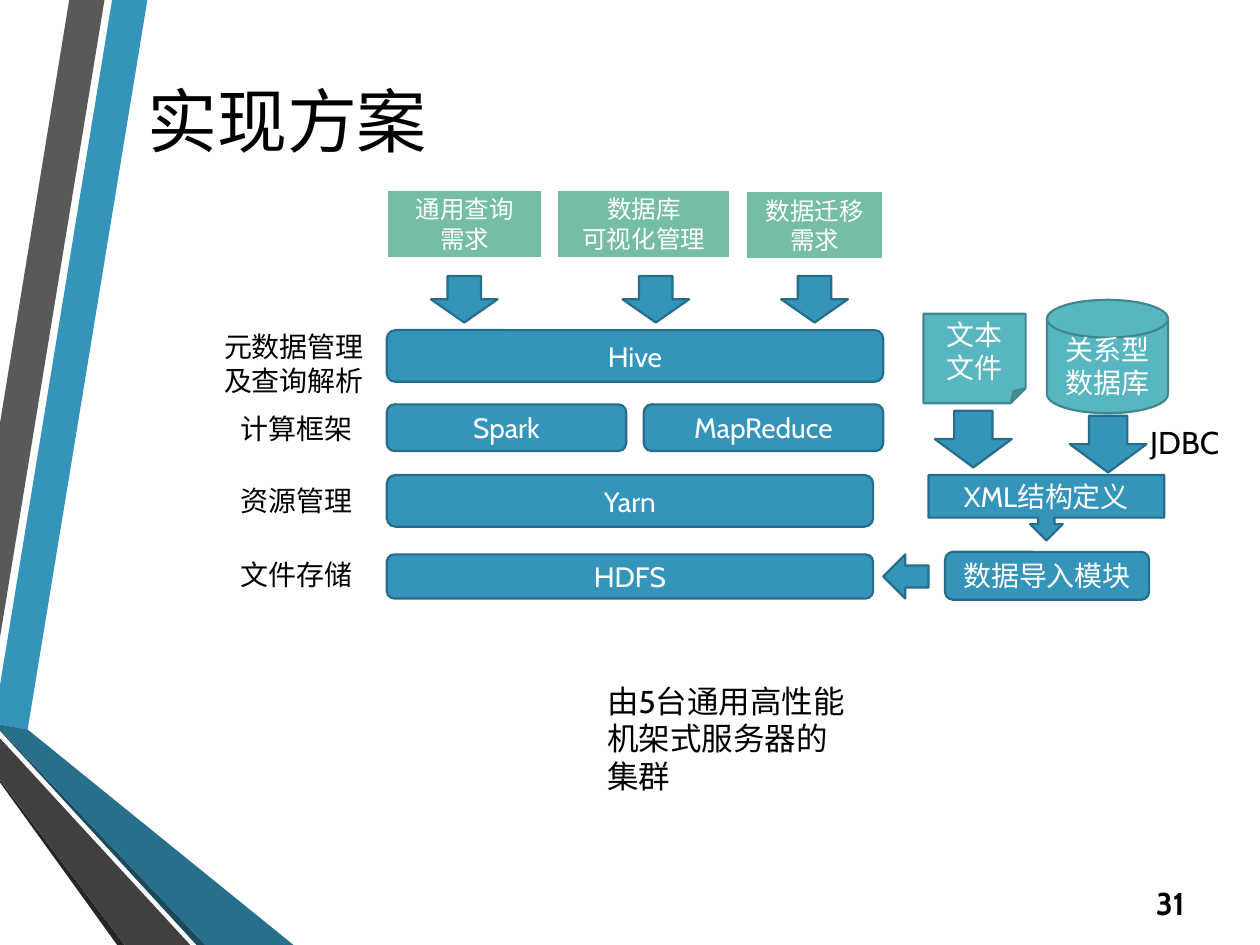
"""Build the slide that shows the data platform's architecture."""
from pptx import Presentation
from pptx.dml.color import RGBColor
from pptx.enum import shapes, text
from pptx.util import Inches, Pt

SHAPE = shapes.MSO_SHAPE
ALIGN = text.PP_ALIGN
ANCHOR = text.MSO_ANCHOR
FONT = "Cabin"
BLACK, WHITE = "000000", "FFFFFF"
BLUE = ("3494BA", "266D8A", 1.25)
TEAL = ("58B6C0", "41878E", 1.25)
GREEN = ("75BDA7", WHITE, 1.75)

RIBBONS = [
    ("3494BA", [(0, 5.44), (0, 5.75), (0.22, 5.79), (1.17, 0), (0.89, 0)]),
    ("595959", [(0.83, 0), (0.55, 0), (0, 3.36), (0, 5.06)]),
    ("262626", [(0, 6.19), (0, 6.21), (0.93, 7.5), (0.99, 7.5)]),
    ("1A4A5D", [(0, 5.79), (0, 5.8), (1.56, 7.5), (1.63, 7.5)]),
    ("276F8B", [(0, 5.79), (1.63, 7.5), (2.33, 7.5), (0.22, 5.79), (0, 5.75)]),
    ("404040", [(0, 6.19), (0.99, 7.5), (1.51, 7.5), (0, 5.86)]),
]

STACK_LEFT = 3.07
LAYERS = [
    (STACK_LEFT, 2.62, 3.94, 0.41, "Hive"),
    (STACK_LEFT, 3.21, 1.9, 0.37, "Spark"),
    (5.11, 3.21, 1.9, 0.37, "MapReduce"),
    (STACK_LEFT, 3.77, 3.86, 0.41, "Yarn"),
    (STACK_LEFT, 4.4, 3.86, 0.35, "HDFS"),
    (7.5, 4.38, 1.62, 0.38, "数据导入模块"),
]
SOURCES = [
    (SHAPE.FLOWCHART_MAGNETIC_DISK, (8.31, 2.38, 0.96, 0.9), TEAL, "关系型数据库"),
    (SHAPE.FOLDED_CORNER, (7.33, 2.49, 0.81, 0.71), TEAL, "文本文件"),
    (SHAPE.DOWN_ARROW_CALLOUT, (7.37, 3.77, 1.87, 0.52), BLUE, "XML结构定义"),
]
REQUESTS = [
    (STACK_LEFT, 1.5, 1.24, ["通用查询", "需求"]),
    (4.42, 1.5, 1.38, ["数据库", "可视化管理"]),
    (5.92, 1.51, 1.09, ["数据迁移", "需求"]),
]
REQUEST_ARROWS = [3.42, 4.94, 6.2]
SOURCE_ARROWS = [(7.42, 3.26), (8.49, 3.3)]
LAYER_LABELS = [
    (1.68, 2.57, 0.64, "元数据管理及查询解析"),
    (1.81, 3.22, 0.37, "计算框架"),
    (1.81, 3.79, 0.37, "资源管理"),
    (1.81, 4.38, 0.37, "文件存储"),
]


def color(value):
    return RGBColor.from_string(value)


def write(shape, lines, size, ink, align=ALIGN.LEFT, anchor=ANCHOR.TOP, wrap=True, bold=False):
    frame = shape.text_frame
    frame.word_wrap = wrap
    frame.vertical_anchor = anchor
    for index, line in enumerate(lines):
        paragraph = frame.add_paragraph() if index else frame.paragraphs[0]
        paragraph.alignment = align
        run = paragraph.add_run()
        run.text = line
        run.font.name = FONT
        run.font.size = Pt(size)
        run.font.bold = bold
        run.font.color.rgb = color(ink)


def add_ribbon(slide, fill, points):
    corners = [(Inches(x), Inches(y)) for x, y in points]
    builder = slide.shapes.build_freeform(*corners[0])
    builder.add_line_segments(corners[1:])
    shape = builder.convert_to_shape()
    shape.shadow.inherit = False
    shape.fill.solid()
    shape.fill.fore_color.rgb = color(fill)
    shape.line.fill.background()


def add_block(slide, kind, box, style, lines=(), size=16):
    fill, outline, width = style
    shape = slide.shapes.add_shape(kind, *map(Inches, box))
    shape.shadow.inherit = False
    shape.fill.solid()
    shape.fill.fore_color.rgb = color(fill)
    shape.line.color.rgb = color(outline)
    shape.line.width = Pt(width)
    write(shape, lines, size, WHITE, ALIGN.CENTER, ANCHOR.MIDDLE)


def add_text(slide, box, line, size, **options):
    write(slide.shapes.add_textbox(*map(Inches, box)), [line], size, BLACK, **options)


def main():
    presentation = Presentation()
    presentation.slide_width, presentation.slide_height = Inches(10), Inches(7.5)
    slide = presentation.slides.add_slide(presentation.slide_layouts[6])

    for fill, points in RIBBONS:
        add_ribbon(slide, fill, points)
    add_text(slide, (1.07, 0.5, 8.43, 0.9), "实现方案", 40, anchor=ANCHOR.MIDDLE)
    add_text(slide, (8.93, 6.97, 0.57, 0.4), "31", 18,
             align=ALIGN.RIGHT, anchor=ANCHOR.MIDDLE, bold=True)

    for kind, box, style, label in SOURCES:
        add_block(slide, kind, box, style, [label])
    for *box, label in LAYERS:
        add_block(slide, SHAPE.ROUNDED_RECTANGLE, box, BLUE, [label])
    for left, top, width, lines in REQUESTS:
        add_block(slide, SHAPE.RECTANGLE, (left, top, width, 0.55), GREEN, lines, 14)
    for left in REQUEST_ARROWS:
        add_block(slide, SHAPE.DOWN_ARROW, (left, 2.19, 0.53, 0.37), BLUE)
    for left, top in SOURCE_ARROWS:
        add_block(slide, SHAPE.DOWN_ARROW, (left, top, 0.61, 0.45), BLUE)
    add_block(slide, SHAPE.LEFT_ARROW, (7.01, 4.4, 0.36, 0.35), BLUE)

    for left, top, height, label in LAYER_LABELS:
        add_text(slide, (left, top, 1.38, height), label, 16)
    add_text(slide, (4.72, 5.36, 2.16, 0.71), "由5台通用高性能机架式服务器的集群", 18)
    add_text(slide, (9.03, 3.31, 0.76, 0.4), "JDBC", 18, wrap=False)
    presentation.save("out.pptx")


if __name__ == "__main__":
    main()
